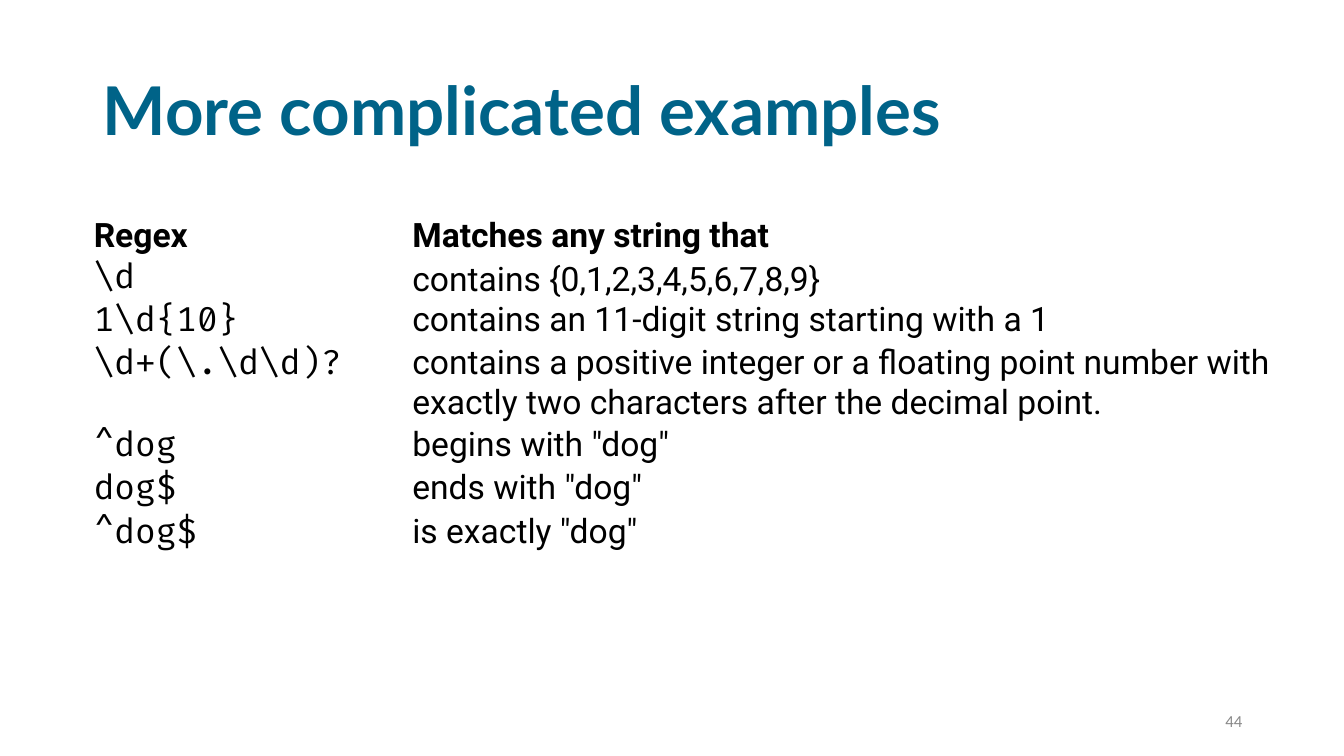
from pptx import Presentation
from pptx.dml.color import RGBColor
from pptx.enum.text import MSO_ANCHOR, PP_ALIGN
from pptx.util import Inches, Pt

BOTTOM, MIDDLE, TOP = MSO_ANCHOR.BOTTOM, MSO_ANCHOR.MIDDLE, MSO_ANCHOR.TOP
LEFT, RIGHT = PP_ALIGN.LEFT, PP_ALIGN.RIGHT
COLORS = {"title": "006388", "text": "000000", "number": "898989"}

EXAMPLES = [
    ("Regex", "Matches any string that"),
    (r"\d", "contains {0,1,2,3,4,5,6,7,8,9}"),
    (r"1\d{10}", "contains an 11-digit string starting with a 1"),
    (r"\d+(\.\d\d)?", "contains a positive integer or a floating point number with "
                      "exactly two characters after the decimal point."),
    ("^dog", 'begins with "dog"'),
    ("dog$", 'ends with "dog"'),
    ("^dog$", 'is exactly "dog"'),
    ("", ""),
]
COLUMN_WIDTHS = [3.16, 8.93]
ROW_HEIGHTS = [0.43] * 6 + [0.85, 0.43]


class RegexSlide:
    def __init__(self, deck):
        self.slide = deck.slides.add_slide(deck.slide_layouts[6])

    def style(self, paragraph, font, size, color, bold=False):
        paragraph.font.name = font
        paragraph.font.size = Pt(size)
        paragraph.font.bold = bold
        paragraph.font.color.rgb = RGBColor.from_string(COLORS[color])

    def text(self, words, box, font, size, color, bold=False, align=LEFT, spacing=1.0):
        frame = self.slide.shapes.add_textbox(*map(Inches, box)).text_frame
        frame.word_wrap = True
        frame.vertical_anchor = MIDDLE
        line = frame.paragraphs[0]
        line.text = words
        line.alignment = align
        line.line_spacing = spacing
        self.style(line, font, size, color, bold)

    def table(self, rows, left, top):
        size = sum(COLUMN_WIDTHS), sum(ROW_HEIGHTS)
        grid = self.slide.shapes.add_table(
            len(rows), len(COLUMN_WIDTHS), *map(Inches, (left, top, *size))).table
        grid.first_row = grid.horz_banding = False
        for column, width in zip(grid.columns, COLUMN_WIDTHS):
            column.width = Inches(width)
        for r, (row, height) in enumerate(zip(rows, ROW_HEIGHTS)):
            grid.rows[r].height = Inches(height)
            for c, words in enumerate(row):
                cell = grid.cell(r, c)
                cell.fill.background()
                if words:
                    self.fill_cell(cell, words, r, c)

    def fill_cell(self, cell, words, r, c):
        cell.margin_left = cell.margin_right = cell.margin_top = Inches(0.01)
        cell.margin_bottom = 0
        cell.vertical_anchor = BOTTOM if r < 2 else TOP
        cell.text = words
        font = "Fira Code" if r and c == 0 else "Roboto"
        self.style(cell.text_frame.paragraphs[0], font, 24, "text", bold=r == 0)


def main():
    deck = Presentation()
    deck.slide_width, deck.slide_height = Inches(13.33), Inches(7.5)
    page = RegexSlide(deck)
    page.text("More complicated examples", (0.92, 0.4, 11.5, 1.45),
              "Lato", 48, "title", bold=True, spacing=0.9)
    page.table(EXAMPLES, 0.92, 2.11)
    page.text("44", (9.42, 6.95, 3, 0.4), "Calibri", 12, "number", align=RIGHT)
    deck.save("out.pptx")


if __name__ == "__main__":
    main()
